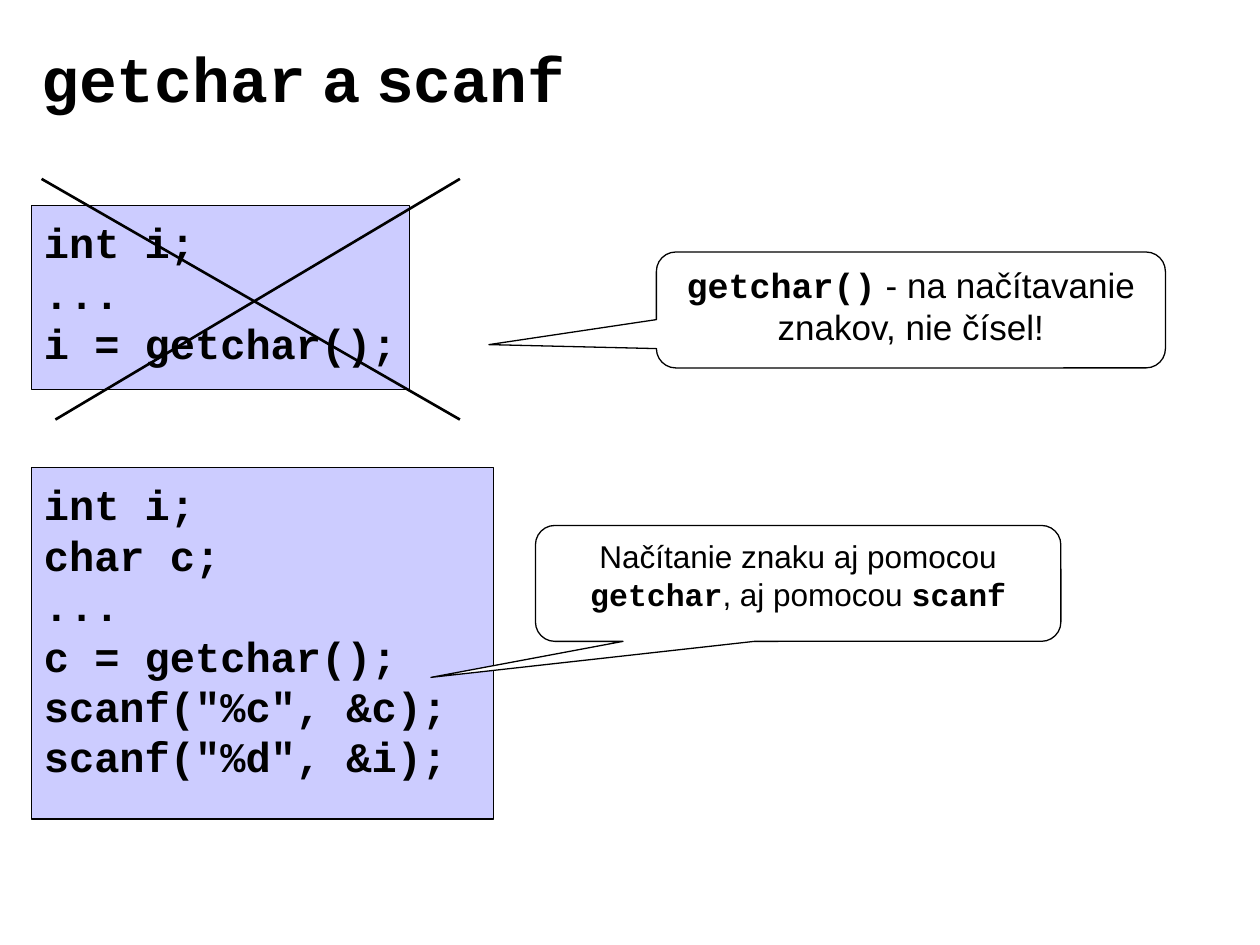
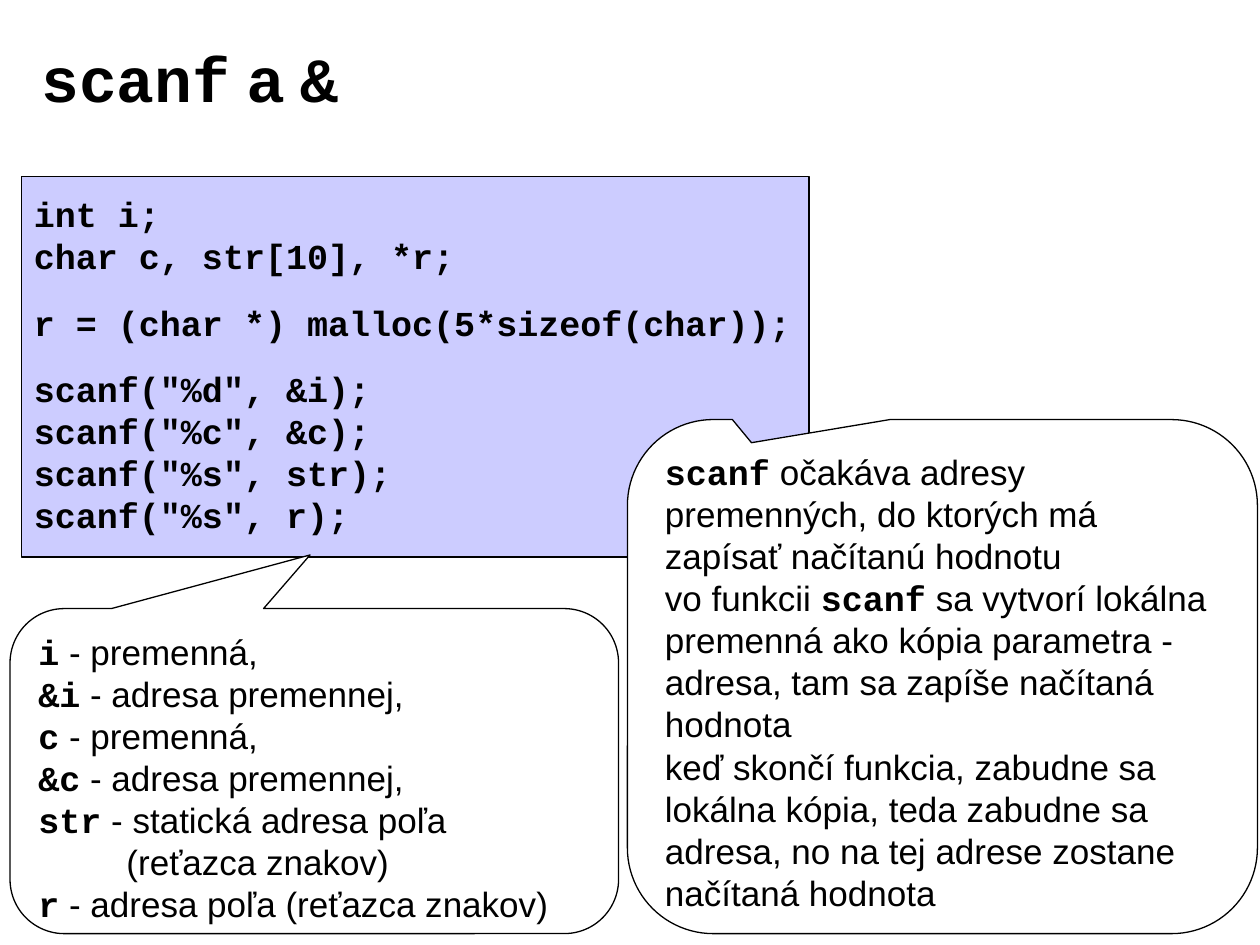
from lxml.etree import SubElement
from pptx import Presentation
from pptx.dml.color import RGBColor
from pptx.enum.shapes import MSO_CONNECTOR, MSO_SHAPE
from pptx.enum.text import MSO_ANCHOR, PP_ALIGN
from pptx.oxml.ns import qn
from pptx.util import Inches, Pt

BLACK = RGBColor(0x00, 0x00, 0x00)
WHITE = RGBColor(0xFF, 0xFF, 0xFF)
LILAC = RGBColor(0xCC, 0xCC, 0xFF)
SANS = "Arial"
MONO = "Courier New"


def style(run, size, face, bold):
    font = run.font
    font.size = Pt(size)
    font.name = face
    font.bold = bold
    font.color.rgb = BLACK


def write(para, text, size, bold=False):
    for index, part in enumerate(text.split("`")):
        if part:
            run = para.add_run()
            run.text = part
            code = index % 2 == 1
            style(run, size, MONO if code else SANS, code or bold)


def add_title(slide, text):
    box = slide.shapes.add_textbox(Inches(0.23), Inches(0.15), Inches(8.03), Inches(0.93))
    frame = box.text_frame
    frame.word_wrap = True
    frame.vertical_anchor = MSO_ANCHOR.MIDDLE
    write(frame.paragraphs[0], text, 36, True)


def add_panel(slide, kind, area, color):
    shape = slide.shapes.add_shape(kind, *map(Inches, area))
    shape.shadow.inherit = False
    shape.fill.solid()
    shape.fill.fore_color.rgb = color
    shape.line.color.rgb = BLACK
    shape.line.width = Pt(0.75)
    frame = shape.text_frame
    frame.word_wrap = True
    frame.vertical_anchor = MSO_ANCHOR.TOP
    return shape


def add_code(slide, area, text, size, top, gaps=()):
    frame = add_panel(slide, MSO_SHAPE.RECTANGLE, area, LILAC).text_frame
    frame.margin_top = Inches(top)
    frame.margin_right = 0
    frame.text = text
    for index, para in enumerate(frame.paragraphs):
        para.alignment = PP_ALIGN.LEFT
        if index in gaps:
            para.space_before = Pt(14)
        style(para.runs[0], size, MONO, True)


def add_callout(slide, area, tip, lines, size=20, align=PP_ALIGN.LEFT):
    shape = add_panel(slide, MSO_SHAPE.ROUNDED_RECTANGULAR_CALLOUT, area, WHITE)
    for index, value in enumerate((*tip, 0.167)):
        shape.adjustments[index] = value
    frame = shape.text_frame
    for index, line in enumerate(lines):
        para = frame.add_paragraph() if index else frame.paragraphs[0]
        para.alignment = align
        write(para, line, size)
    return frame


def add_cross(slide, left, top, right, base):
    for start, end in ((top, base), (base, top)):
        x = left if start == top else left + 0.11
        line = slide.shapes.add_connector(
            MSO_CONNECTOR.STRAIGHT, Inches(x), Inches(start), Inches(right), Inches(end))
        line.line.color.rgb = BLACK
        line.line.width = Pt(1.5)
        SubElement(line._element.spPr, qn("a:effectLst"))


def build_read(slide):
    add_title(slide, "`getchar` a `scanf`")
    add_code(slide, (0.25, 1.63, 3, 1.46), "int i;\n...\ni = getchar();", 24, 0.09)
    add_cross(slide, 0.33, 1.42, 3.65, 3.33)
    add_callout(slide, (5.21, 2, 4.04, 0.92), (-0.829, 0.299),
                ["`getchar()` - na načítavanie znakov, nie čísel!"],
                align=PP_ALIGN.CENTER)
    add_code(slide, (0.25, 3.71, 3.67, 2.79),
             'int i;\nchar c;\n...\nc = getchar();\nscanf("%c", &c);\nscanf("%d", &i);',
             24, 0.09)
    add_callout(slide, (4.25, 4.17, 4.17, 0.92), (-0.699, 0.811),
                ["Načítanie znaku aj pomocou `getchar`, aj pomocou `scanf`"],
                18, PP_ALIGN.CENTER)


def build_address(slide):
    add_title(slide, "`scanf` a `&`")
    add_code(slide, (0.17, 1.4, 6.25, 3.02),
             "int i;\nchar c, str[10], *r;\n"
             "r = (char *) malloc(5*sizeof(char));\n"
             'scanf("%d", &i);\nscanf("%c", &c);\nscanf("%s", str);\nscanf("%s", r);',
             20, 0.13, gaps=(2, 3))
    add_callout(slide, (4.98, 3.33, 5, 4.08), (-0.303, -0.455), [
        "`scanf` očakáva adresy premenných, do ktorých má zapísať načítanú hodnotu",
        "vo funkcii `scanf` sa vytvorí lokálna premenná ako kópia parametra - "
        "adresa, tam sa zapíše načítaná hodnota",
        "keď skončí funkcia, zabudne sa lokálna kópia, teda zabudne sa adresa, "
        "no na tej adrese zostane načítaná hodnota"])
    frame = add_callout(slide, (0.08, 4.83, 4.83, 2.58), (-0.007, -0.665), [
        "`i` - premenná,",
        "`&i` - adresa premennej,",
        "`c` - premenná,",
        "`&c` - adresa premennej,",
        "`str` - statická adresa poľa",
        "(reťazca znakov)",
        "`r` - adresa poľa (reťazca znakov)"])
    frame.paragraphs[5]._p.get_or_add_pPr().set("marL", str(Inches(0.7)))


def main():
    deck = Presentation()
    deck.slide_width = Inches(10)
    deck.slide_height = Inches(7.5)
    for build in (build_read, build_address):
        build(deck.slides.add_slide(deck.slide_layouts[6]))
    deck.save("out.pptx")


if __name__ == "__main__":
    main()
